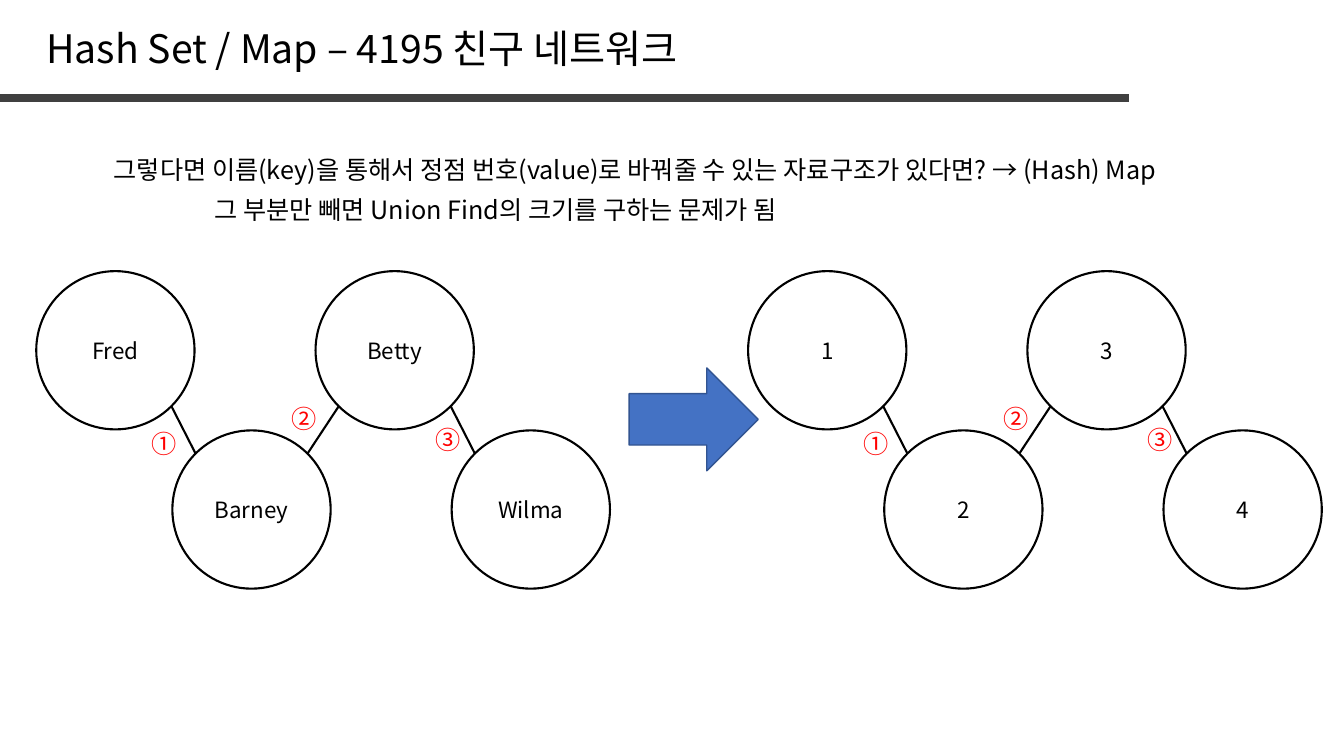
from math import sqrt
from lxml.etree import SubElement as Sub
from pptx import Presentation
from pptx.dml.color import RGBColor as Rgb
from pptx.enum.shapes import MSO_CONNECTOR as Con, MSO_SHAPE as Kind
from pptx.enum.text import MSO_ANCHOR as Anchor, MSO_AUTO_SIZE as Auto, PP_ALIGN as Align
from pptx.oxml.ns import qn
from pptx.util import Inches, Pt

TITLE = "Hash Set / Map – 4195 친구 네트워크"
LINES = [
    ("그렇다면 이름(key)을 통해서 정점 번호(value)로 바꿔줄 수 있는 자료구조가 있다면? → (Hash) Map", 0),
    ("그 부분만 빼면 Union Find의 크기를 구하는 문제가 됨", 1),
]
GRAPHS = [(0.36, ["Fred", "Barney", "Betty", "Wilma"]), (7.42, ["1", "2", "3", "4"])]
EDGES = [(0, 1), (2, 1), (2, 3)]
MARKS = [("①", 0.78, 4.2), ("②", 2.17, 3.95), ("③", 3.6, 4.16)]
HUES = {"ink": "000000", "bar": "404040", "mark": "FF0000", "arrow": "4472C4", "rim": "325491"}
FONT = "Noto Sans CJK KR"
SIZE, TOP, DROP = 1.57, 2.69, 1.58
PAIR, STEP = 2.77, 1.35

deck = Presentation()
deck.slide_width, deck.slide_height = Inches(13.33), Inches(7.5)
slide = deck.slides.add_slide(deck.slide_layouts[5])
shapes = slide.shapes


def write(shape, text, size=18, hue="ink", align=Align.LEFT, anchor=Anchor.TOP,
          wrap=True, auto=Auto.SHAPE_TO_FIT_TEXT, indent=0):
    frame = shape.text_frame
    frame.word_wrap, frame.auto_size = wrap, auto
    frame.vertical_anchor = anchor
    para = frame.paragraphs[0]
    para.alignment = align
    if indent:
        para._p.get_or_add_pPr().set("marL", str(Inches(indent)))
    run = para.add_run()
    run.text = text
    font = run.font
    font.size, font.name = Pt(size), FONT
    font.color.rgb = Rgb.from_string(HUES[hue])
    Sub(run._r.get_or_add_rPr(), qn("a:ea")).set("typeface", FONT)


def box(x, y, w, h):
    return shapes.add_textbox(*map(Inches, (x, y, w, h)))


def stroke(shape, hue, width):
    shape.line.color.rgb = Rgb.from_string(HUES[hue])
    shape.line.width = Pt(width)


def link(start, end, hue="ink", width=1.5):
    line = shapes.add_connector(Con.STRAIGHT, *map(Inches, (*start, *end)))
    stroke(line, hue, width)
    Sub(line._element.spPr, qn("a:effectLst"))


def form(kind, x, y, w, h, hue, width, fill=None):
    shape = shapes.add_shape(kind, *map(Inches, (x, y, w, h)))
    shape.shadow.inherit = False
    if fill:
        shape.fill.solid()
        shape.fill.fore_color.rgb = Rgb.from_string(HUES[fill])
    else:
        shape.fill.background()
    stroke(shape, hue, width)
    return shape


def graph(left, names):
    spots = [(left + i // 2 * PAIR + i % 2 * STEP, TOP + i % 2 * DROP) for i in range(len(names))]
    for name, (x, y) in zip(names, spots):
        node = form(Kind.OVAL, x, y, SIZE, SIZE, "ink", 1.5)
        write(node, name, size=16, align=Align.CENTER, anchor=Anchor.MIDDLE, auto=Auto.NONE)
    half = SIZE / 2
    reach = half / sqrt(2)
    for high, low in EDGES:
        (a, b), (c, d) = spots[high], spots[low]
        side = reach if c > a else -reach
        link((c + half - side, d + half - reach), (a + half + side, b + half + reach))
    for mark, x, y in MARKS:
        write(box(left + x, y, 0.97, 0.4), mark, hue="mark", align=Align.CENTER)


link((0, 0.97), (11.2, 0.97), "bar", 6)
title = shapes.title
title.left, title.top, title.width, title.height = map(Inches, (0.36, 0.19, 6.66, 0.57))
write(title, TITLE, size=28, wrap=False)
for row, (text, indent) in enumerate(LINES):
    write(box(1.03, 1.48 + row * 0.4, 11.2, 0.4), text, indent=indent)
for left, names in GRAPHS:
    graph(left, names)
form(Kind.RIGHT_ARROW, 6.24, 3.65, 1.28, 1.02, "rim", 1, "arrow")

deck.save("out.pptx")
